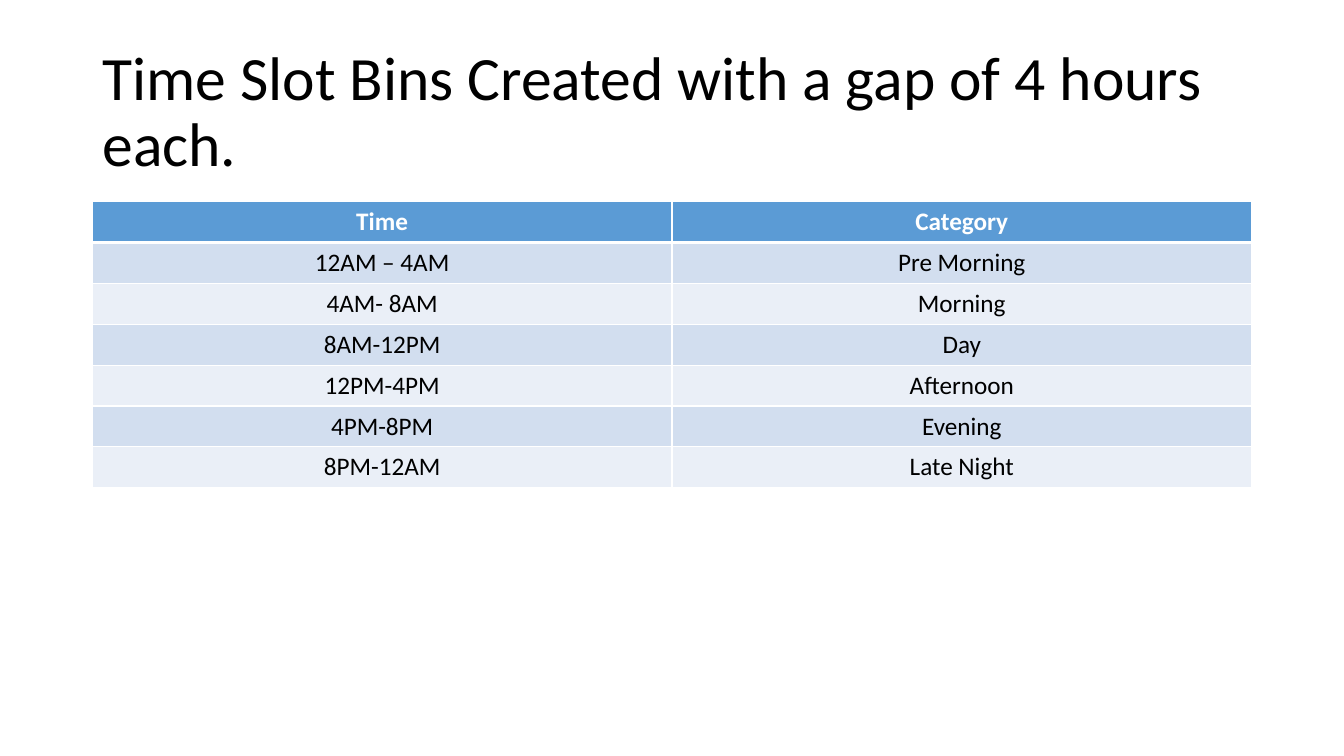
"""Build a slide with a table of four-hour time slots."""
from dataclasses import dataclass

import lxml.etree
import pptx
import pptx.dml.color
import pptx.enum.text
import pptx.oxml.ns
import pptx.slide
import pptx.table
import pptx.text.text
import pptx.util

Pt = pptx.util.Pt
FONT = "Calibri"
HUES = {
    "white": "FFFFFF",
    "black": "000000",
    "head": "5B9BD5",
    "odd": "D2DEEF",
    "even": "EAEFF7",
}
LEFT, WIDTH = 66, 828
HIGH = 29.2


@dataclass(frozen=True)
class Slot:
    time: str
    label: str


SLOTS = [
    Slot("Time", "Category"),
    Slot("12AM – 4AM", "Pre Morning"),
    Slot("4AM- 8AM", "Morning"),
    Slot("8AM-12PM", "Day"),
    Slot("12PM-4PM", "Afternoon"),
    Slot("4PM-8PM", "Evening"),
    Slot("8PM-12AM", "Late Night"),
]


def color(name: str) -> pptx.dml.color.RGBColor:
    """Return the named colour."""
    return pptx.dml.color.RGBColor.from_string(HUES[name])


def style(para: pptx.text.text._Paragraph, size: float, hue: str, bold: bool = False) -> None:
    """Set the font of a paragraph."""
    font = para.font
    font.name, font.size, font.bold = FONT, Pt(size), bold
    font.color.rgb = color(hue)


def edge(cell: pptx.table._Cell, top: float, base: float) -> None:
    """Draw white borders around a cell."""
    props = cell._tc.get_or_add_tcPr()
    for side, width in (("L", 1), ("R", 1), ("T", top), ("B", base)):
        line = lxml.etree.SubElement(props, pptx.oxml.ns.qn(f"a:ln{side}"), w=str(Pt(width)))
        fill = lxml.etree.SubElement(line, pptx.oxml.ns.qn("a:solidFill"))
        lxml.etree.SubElement(fill, pptx.oxml.ns.qn("a:srgbClr"), val=HUES["white"])


def draw_cell(cell: pptx.table._Cell, text: str, row: int) -> None:
    """Fill in one cell according to its row."""
    head = row == 0
    edge(cell, 3 if row == 1 else 1, 3 if head else 1)
    cell.fill.solid()
    cell.fill.fore_color.rgb = color("head" if head else "odd" if row % 2 else "even")
    cell.text = text
    para = cell.text_frame.paragraphs[0]
    para.alignment = pptx.enum.text.PP_ALIGN.CENTER
    style(para, 18, "white" if head else "black", head)


def draw_title(slide: pptx.slide.Slide, text: str) -> None:
    """Place and format the title."""
    title = slide.shapes.title
    title.left, title.top, title.width, title.height = map(Pt, (LEFT, 28.75, WIDTH, 104.4))
    frame = title.text_frame
    frame.text = text
    frame.word_wrap = True
    frame.auto_size = pptx.enum.text.MSO_AUTO_SIZE.NONE
    frame.vertical_anchor = pptx.enum.text.MSO_ANCHOR.MIDDLE
    para = frame.paragraphs[0]
    para.alignment = pptx.enum.text.PP_ALIGN.LEFT
    para.line_spacing = 0.9
    style(para, 44, "black")


def draw_table(slide: pptx.slide.Slide, slots: list[Slot]) -> None:
    """Draw the slots as a two-column table."""
    count = len(slots)
    box = map(Pt, (LEFT, 144, WIDTH, HIGH * count))
    table = slide.shapes.add_table(count, 2, *box).table
    for row, slot in enumerate(slots):
        table.rows[row].height = Pt(HIGH)
        for col, text in enumerate((slot.time, slot.label)):
            draw_cell(table.cell(row, col), text, row)


def main() -> None:
    """Build and save the slide."""
    deck = pptx.Presentation()
    deck.slide_width, deck.slide_height = Pt(960), Pt(540)
    slide = deck.slides.add_slide(deck.slide_layouts.get_by_name("Title Only"))
    draw_title(slide, "Time Slot Bins Created with a gap of 4 hours each.")
    draw_table(slide, SLOTS)
    deck.save("out.pptx")


main()
